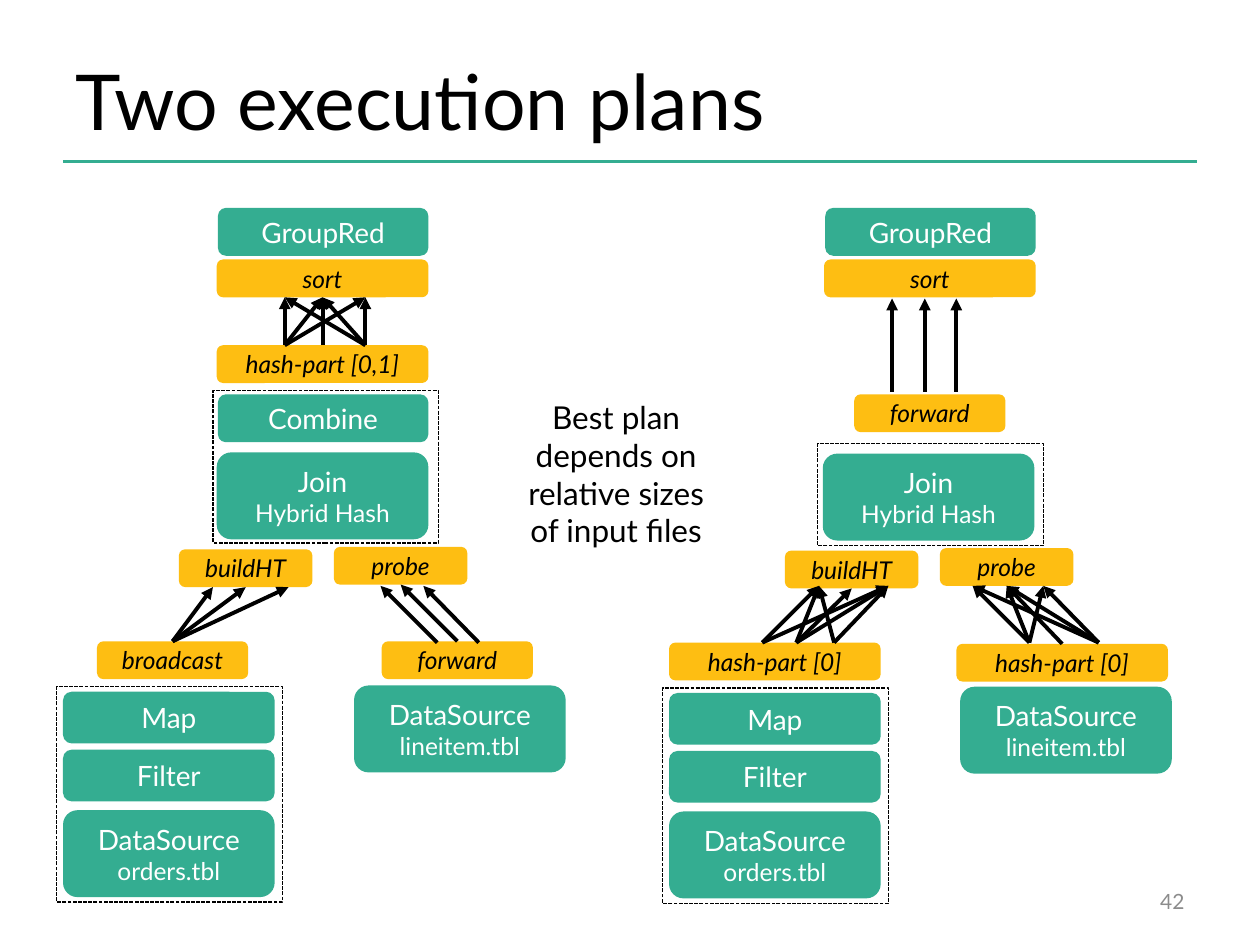
from dataclasses import dataclass

from lxml import etree
from pptx import Presentation
from pptx import util as u
from pptx.dml.color import RGBColor
from pptx.enum import dml, shapes, text
from pptx.oxml.ns import qn

PX = u.Inches(1) // 100  # 100 px to the inch


@dataclass(frozen=True)
class Theme:
    font: str = "Lato"
    operator: str = "34AD91"
    strategy: str = "FEBE12"
    ink: str = "000000"
    paper: str = "FFFFFF"
    muted: str = "8C8C8C"
    title_pt: float = 44
    note_pt: float = 18
    operator_pt: float = 16
    detail_pt: float = 14
    number_pt: float = 12
    rule_pt: float = 2
    arrow_pt: float = 2.25
    frame_pt: float = 0.75


THEME = Theme()

TITLE = "Two execution plans"
NOTE = ["Best plan", "depends on", "relative sizes of input files"]
PAGE = "42"

# Operators and strategies: lines of text, left, top, width, height
# Parts that both plans share, with the offset of each plan
SINK_OFFSETS = [(0, 0), (482, 0)]
SINK_OPERATORS = [(["GroupRed"], 173, 165, 167, 38)]
SINK_STRATEGIES = [(["sort"], 172, 206, 168, 30)]

SOURCE_OFFSETS = [(0, 0), (481, 1)]
SOURCE_OPERATORS = [
    (["DataSource", "orders.tbl"], 50, 643, 168, 69),
    (["Filter"], 50, 595, 168, 41),
    (["Map"], 50, 549, 168, 41),
    (["DataSource", "lineitem.tbl"], 281, 544, 168, 69),
    (["Join", "Hybrid Hash"], 172, 359, 168, 69),
]
SOURCE_STRATEGIES = [
    (["buildHT"], 142, 436, 106, 30),
    (["probe"], 265, 434, 106, 30),
]
SOURCE_FRAMES = [(45, 545, 179, 171)]

# Parts of one plan only
OWN_OPERATORS = [(["Combine"], 173, 313, 167, 38)]
OWN_STRATEGIES = [
    (["broadcast"], 77, 509, 120, 30),
    (["forward"], 303, 509, 120, 30),
    (["hash-part [0,1]"], 172, 274, 168, 30),
    (["hash-part [0]"], 531, 510, 168, 30),
    (["hash-part [0]"], 759, 511, 168, 30),
    (["forward"], 678, 313, 120, 30),
]
OWN_FRAMES = [(169, 310, 179, 121), (649, 352, 179, 81)]

# Data flows: y of the senders, y of the receivers, {sender x: receiver xs}
FLOWS = [
    (509, 466, {137: [169, 195, 229]}),
    (510, 465, {347: [302], 363: [318], 380: [336]}),
    (274, 236, {226: [226, 256, 290], 256: [256], 290: [226, 256, 290]}),
    (510, 465, {605: [650, 705], 632: [650, 677, 705], 662: [650, 705]}),
    (510, 465, {817: [772, 799, 828], 843: [799], 872: [772, 799, 828]}),
    (311, 237, {708: [708], 734: [734], 759: [759]}),
]


def px(*lengths):
    return [length * PX for length in lengths]


def rgb(colour):
    return RGBColor.from_string(colour)


def style(paragraph, size, colour, align, italic=None):
    paragraph.alignment = align
    font = paragraph.font
    font.name, font.size, font.italic = THEME.font, u.Pt(size), italic
    font.color.rgb = rgb(colour)


def write(frame, lines, sizes, colour, align, italic=None):
    """Fill a text frame with one paragraph a line."""
    frame.word_wrap = True
    frame.text = "\n".join(lines)
    for paragraph, size in zip(frame.paragraphs, sizes):
        style(paragraph, size, colour, align, italic)


def shifted(parts, offsets):
    """Repeat parts, whose last four items are a box, at each offset."""
    return [(*part[:-4], part[-4] + dx, part[-3] + dy, *part[-2:])
            for dx, dy in offsets for part in parts]


def add_box(slide, lines, box, fill, sizes, colour, italic=None):
    shape = slide.shapes.add_shape(shapes.MSO_SHAPE.ROUNDED_RECTANGLE, *px(*box))
    shape.shadow.inherit = False
    shape.fill.solid()
    shape.fill.fore_color.rgb = rgb(fill)
    shape.line.fill.background()
    shape.text_frame.vertical_anchor = text.MSO_ANCHOR.MIDDLE
    write(shape.text_frame, lines, sizes, colour, text.PP_ALIGN.CENTER, italic)
    return shape


def add_frame(slide, box):
    frame = slide.shapes.add_shape(shapes.MSO_SHAPE.RECTANGLE, *px(*box))
    frame.shadow.inherit = False
    frame.fill.background()
    frame.line.color.rgb = rgb(THEME.ink)
    frame.line.width = u.Pt(THEME.frame_pt)
    frame.line.dash_style = dml.MSO_LINE.SQUARE_DOT


def add_line(slide, ends, colour, width, arrow=False):
    line = slide.shapes.add_connector(shapes.MSO_CONNECTOR.STRAIGHT, *px(*ends))
    line.line.color.rgb = rgb(colour)
    line.line.width = u.Pt(width)
    if arrow:
        etree.SubElement(line.line._get_or_add_ln(), qn("a:tailEnd"), type="triangle")
    etree.SubElement(line._element.spPr, qn("a:effectLst"))
    return line


def box_with_middle(boxes, x, y, bottom):
    """The box whose top or bottom middle lies within 2 px of a point."""
    for box in boxes:
        side = box.top + box.height * bottom
        middle = box.left + box.width // 2
        if max(abs(middle - x * PX), abs(side - y * PX)) <= 2 * PX:
            return box
    return None


def add_flow(slide, boxes, sender_y, receiver_y, routes):
    for start, receivers in routes.items():
        for end in receivers:
            arrow = add_line(slide, (start, sender_y, end, receiver_y),
                             THEME.ink, THEME.arrow_pt, arrow=True)
            sender = box_with_middle(boxes, start, sender_y, bottom=False)
            receiver = box_with_middle(boxes, end, receiver_y, bottom=True)
            if sender:
                arrow.begin_connect(sender, 0)
            if receiver:
                arrow.end_connect(receiver, 2)


def main():
    deck = Presentation()
    deck.slide_width, deck.slide_height = px(1000, 750)
    slide = deck.slides.add_slide(deck.slide_layouts[5])

    title = slide.shapes.title
    title.left, title.top, title.width, title.height = px(50, 30, 900, 98)
    title.text_frame.vertical_anchor = text.MSO_ANCHOR.MIDDLE
    write(title.text_frame, [TITLE], [THEME.title_pt], THEME.ink, text.PP_ALIGN.LEFT)
    add_line(slide, (50, 128, 950, 128), THEME.operator, THEME.rule_pt)

    operators = (shifted(SINK_OPERATORS, SINK_OFFSETS)
                 + shifted(SOURCE_OPERATORS, SOURCE_OFFSETS) + OWN_OPERATORS)
    for lines, *box in operators:
        add_box(slide, lines, box, THEME.operator,
                [THEME.operator_pt, THEME.detail_pt], THEME.paper)

    strategies = (shifted(SINK_STRATEGIES, SINK_OFFSETS)
                  + shifted(SOURCE_STRATEGIES, SOURCE_OFFSETS) + OWN_STRATEGIES)
    strategy_boxes = [
        add_box(slide, lines, box, THEME.strategy, [THEME.detail_pt], THEME.ink, italic=True)
        for lines, *box in strategies]

    for box in shifted(SOURCE_FRAMES, SOURCE_OFFSETS) + OWN_FRAMES:
        add_frame(slide, box)
    for flow in FLOWS:
        add_flow(slide, strategy_boxes, *flow)

    note = slide.shapes.add_textbox(*px(400, 311, 178, 131)).text_frame
    write(note, NOTE, [THEME.note_pt] * len(NOTE), THEME.ink, text.PP_ALIGN.CENTER)
    note.auto_size = text.MSO_AUTO_SIZE.SHAPE_TO_FIT_TEXT

    number = slide.shapes.add_textbox(*px(717, 695, 233, 40)).text_frame
    number.vertical_anchor = text.MSO_ANCHOR.MIDDLE
    write(number, [PAGE], [THEME.number_pt], THEME.muted, text.PP_ALIGN.RIGHT)

    deck.save("out.pptx")


if __name__ == "__main__":
    main()
